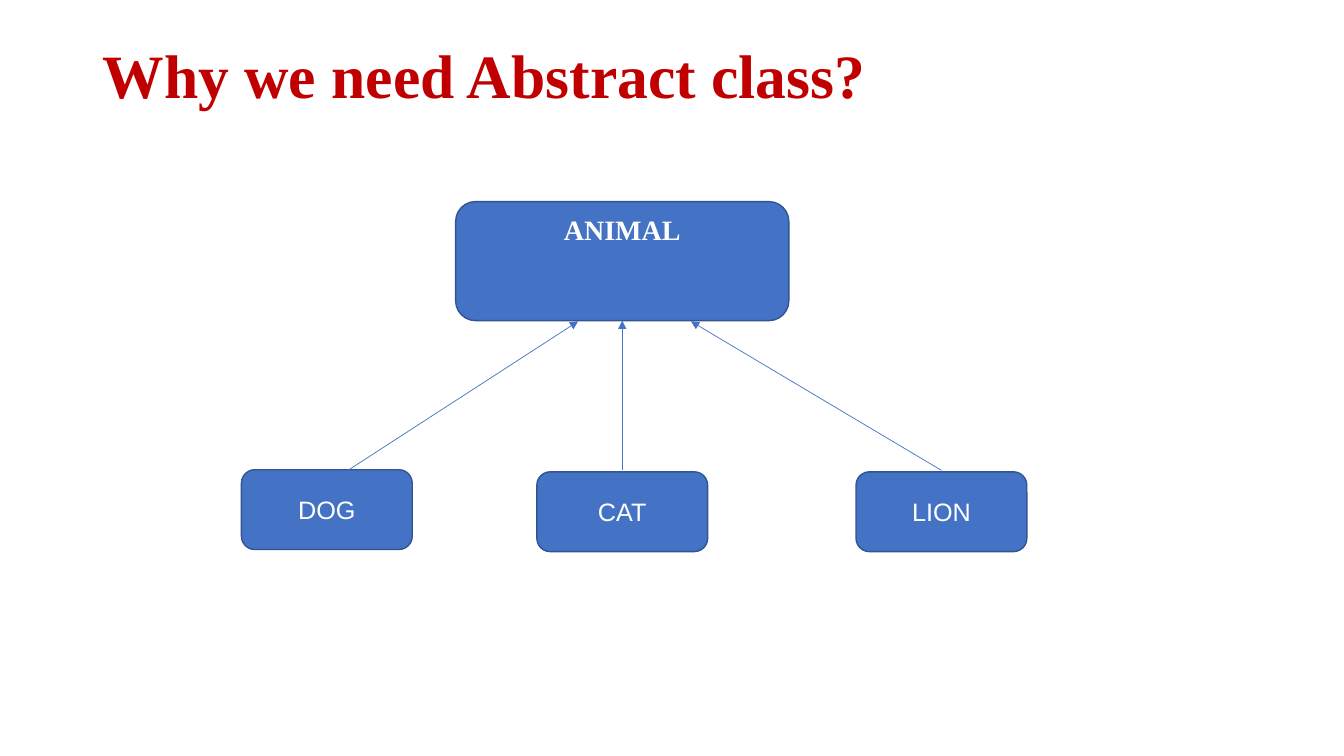
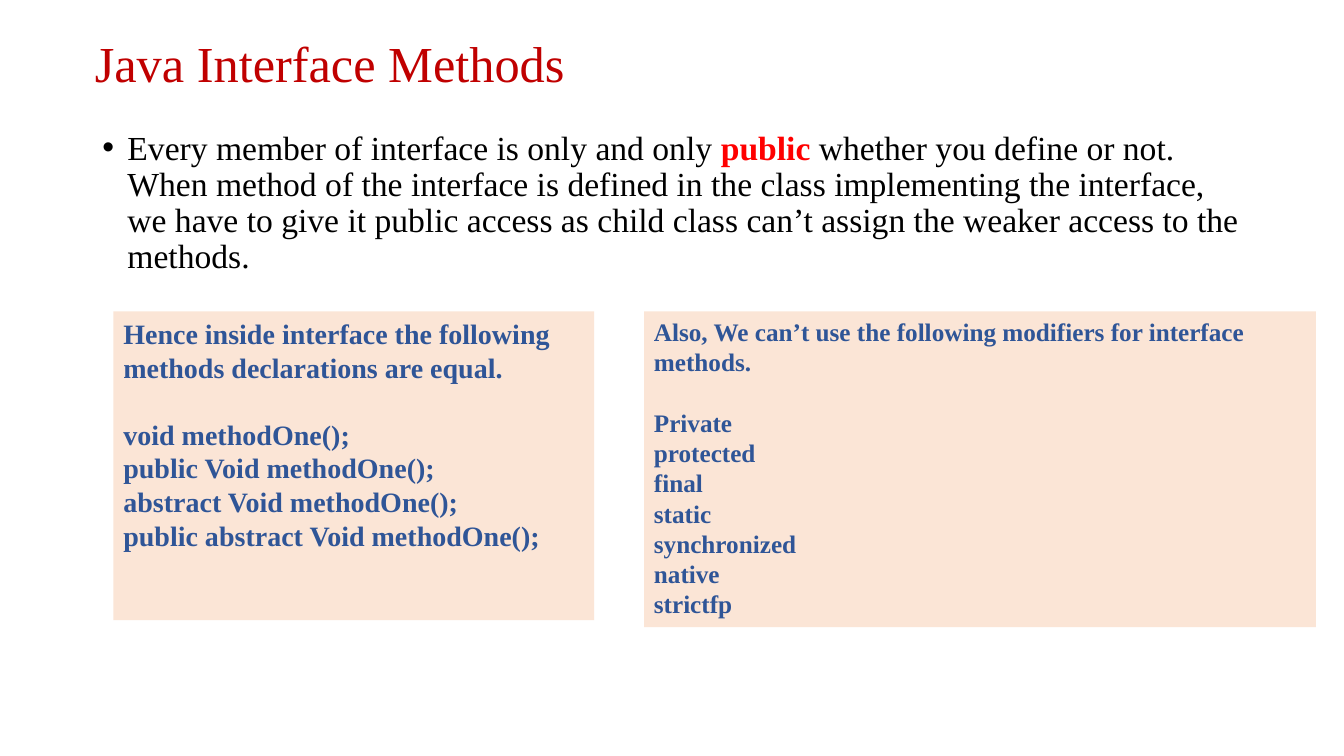
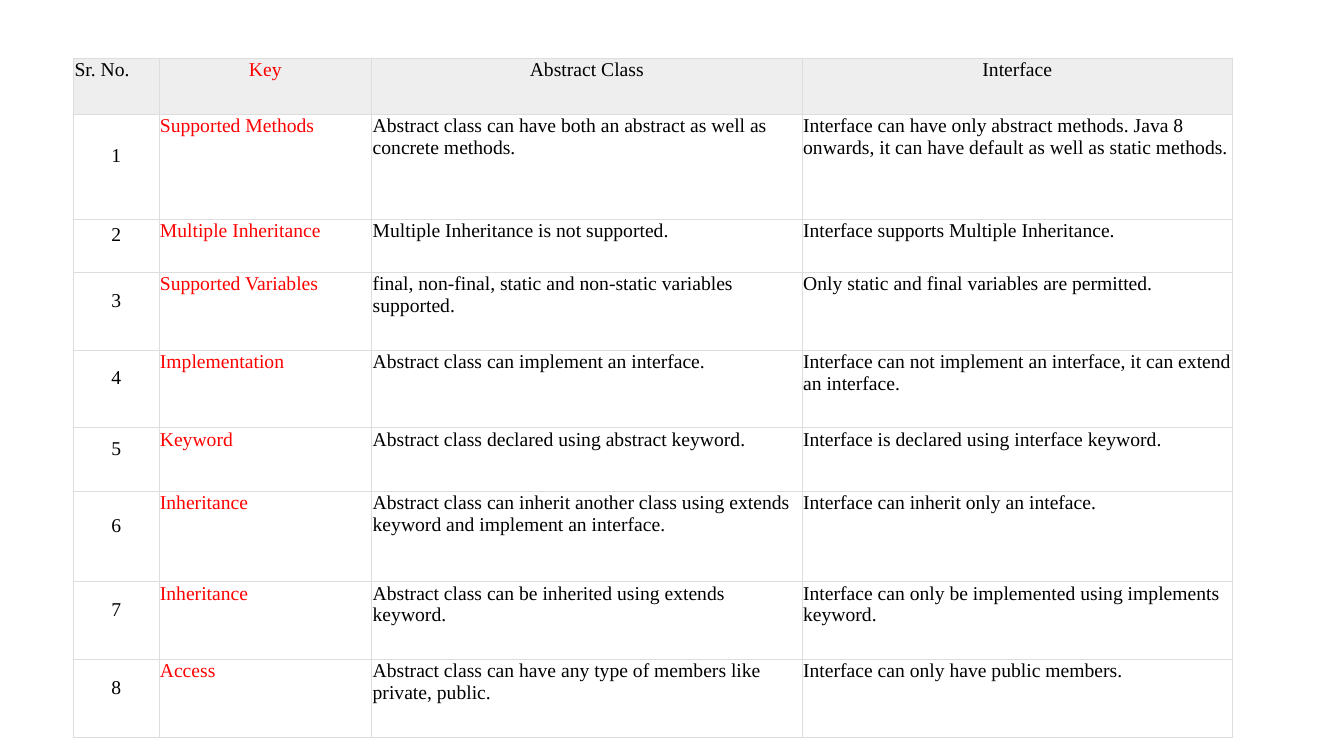
"""Build three slides on abstract classes and interfaces in Java."""
from lxml import etree
from pptx import Presentation
from pptx.dml.color import RGBColor
from pptx.enum.shapes import MSO_CONNECTOR, MSO_SHAPE
from pptx.enum.text import MSO_ANCHOR, MSO_AUTO_SIZE, PP_ALIGN
from pptx.oxml.ns import qn
from pptx.util import Pt

COLORS = {
    "title": "C00000", "text": "000000", "accent": "FF0000", "white": "FFFFFF",
    "node": "4472C4", "outline": "325491", "panel": "FBE5D6",
    "code": "2F5597", "header": "EEEEEE", "grid": "DDDDDD",
}
SERIF = "Times New Roman"


def color(name):
    """Return the named colour."""
    return RGBColor.from_string(COLORS[name])


class SlideWriter:
    """Hold the deck, its style and the current slide."""

    def __init__(self, width, height):
        """Start an empty deck of the given size."""
        self.deck = Presentation()
        self.deck.slide_width, self.deck.slide_height = Pt(width), Pt(height)
        self.page = None

    def add_page(self, titled=True):
        """Start a slide, with or without a title."""
        self.page = self.deck.slides.add_slide(self.deck.slide_layouts[5 if titled else 6])

    def add_run(self, para, text, size, ink="text", bold=False, font=SERIF):
        """Add one formatted run to a paragraph."""
        span = para.add_run()
        span.text = text
        span.font.name, span.font.size, span.font.bold = font, Pt(size), bold
        span.font.color.rgb = color(ink)

    def add_title(self, text, left, top, width, height, size, bold=False, anchor=MSO_ANCHOR.MIDDLE):
        """Place and fill the title placeholder."""
        title = self.page.shapes.title
        title.left, title.top, title.width, title.height = map(Pt, (left, top, width, height))
        frame = title.text_frame
        frame.auto_size, frame.vertical_anchor = MSO_AUTO_SIZE.NONE, anchor
        para = frame.paragraphs[0]
        para.alignment, para.line_spacing = PP_ALIGN.LEFT, 0.9
        self.add_run(para, text, size, "title", bold)

    def add_node(self, text, left, top, width, height, size=18, bold=False, font="Arial",
                 anchor=MSO_ANCHOR.MIDDLE):
        """Add a rounded class box."""
        node = self.page.shapes.add_shape(
            MSO_SHAPE.ROUNDED_RECTANGLE, Pt(left), Pt(top), Pt(width), Pt(height))
        node.shadow.inherit = False
        node.fill.solid()
        node.fill.fore_color.rgb = color("node")
        node.line.color.rgb, node.line.width = color("outline"), Pt(1)
        node.text_frame.vertical_anchor = anchor
        para = node.text_frame.paragraphs[0]
        para.alignment = PP_ALIGN.CENTER
        self.add_run(para, text, size, "white", bold, font)

    def add_arrow(self, start, end):
        """Add a thin arrow between two points."""
        arrow = self.page.shapes.add_connector(MSO_CONNECTOR.STRAIGHT, *map(Pt, start + end))
        arrow.line.color.rgb, arrow.line.width = color("node"), Pt(0.5)
        etree.SubElement(arrow.line._get_or_add_ln(), qn("a:tailEnd"), type="triangle")
        etree.SubElement(arrow._element.spPr, qn("a:effectLst"))

    def add_bullet(self, spans, left, top, width, height, size):
        """Add a bulleted paragraph made of (text, colour, bold) spans."""
        box = self.page.shapes.add_textbox(Pt(left), Pt(top), Pt(width), Pt(height))
        box.text_frame.word_wrap = True
        para = box.text_frame.paragraphs[0]
        para.line_spacing = 0.9
        properties = para._p.get_or_add_pPr()
        properties.set("marL", str(Pt(18)))
        properties.set("indent", str(Pt(-18)))
        etree.SubElement(properties, qn("a:buFont"), typeface="Arial")
        etree.SubElement(properties, qn("a:buChar"), char="•")
        for text, ink, bold in spans:
            self.add_run(para, text, size, ink, bold)

    def add_panel(self, heading, lines, left, top, width, height, size):
        """Add a tinted panel with a heading and a list set one line apart."""
        panel = self.page.shapes.add_textbox(Pt(left), Pt(top), Pt(width), Pt(height))
        panel.fill.solid()
        panel.fill.fore_color.rgb = color("panel")
        frame = panel.text_frame
        frame.word_wrap = True
        for index, text in enumerate([heading] + lines):
            para = frame.add_paragraph() if index else frame.paragraphs[0]
            if index == 1:
                para.space_before = Pt(size * 1.2)
            self.add_run(para, text, size, "code", True)

    def add_grid(self, rows, left, top, widths, heights, size):
        """Add a bordered table with a shaded header and a red key column."""
        table = self.page.shapes.add_table(
            len(rows), len(widths), Pt(left), Pt(top), Pt(sum(widths)), Pt(sum(heights))).table
        table.first_row = table.horz_banding = False
        for column, width in zip(table.columns, widths):
            column.width = Pt(width)
        for row_index, (row, height) in enumerate(zip(rows, heights)):
            table.rows[row_index].height = Pt(height)
            for column_index, text in enumerate(row):
                self.fill_cell(table.cell(row_index, column_index), text, size,
                               row_index == 0, column_index)

    def fill_cell(self, cell, text, size, is_header, column_index):
        """Write and format one table cell."""
        is_number = column_index == 0 and not is_header
        cell.margin_left = cell.margin_right = cell.margin_top = Pt(0.75)
        cell.margin_bottom = Pt(16 if is_number else 0.75)
        cell.vertical_anchor = MSO_ANCHOR.MIDDLE if is_number else MSO_ANCHOR.TOP
        properties = cell._tc.get_or_add_tcPr()
        for side in ("lnL", "lnR", "lnT", "lnB"):
            border = etree.SubElement(properties, qn(f"a:{side}"), w=str(Pt(0.5)))
            fill = etree.SubElement(border, qn("a:solidFill"))
            etree.SubElement(fill, qn("a:srgbClr"), val=COLORS["grid"])
        if is_header:
            cell.fill.solid()
            cell.fill.fore_color.rgb = color("header")
        else:
            cell.fill.background()
        para = cell.text_frame.paragraphs[0]
        centred = is_number or (is_header and column_index > 0)
        para.alignment = PP_ALIGN.CENTER if centred else PP_ALIGN.LEFT
        self.add_run(para, text, size, "accent" if column_index == 1 else "text")


def build_hierarchy(writer):
    """Draw the animal class hierarchy."""
    writer.add_page()
    writer.add_title("Why we need Abstract class?", 66, 29, 828, 104, 44, True, MSO_ANCHOR.TOP)
    writer.add_node("ANIMAL", 325.5, 144, 238, 85, 20, True, SERIF, MSO_ANCHOR.TOP)
    for name, left, top, start, end in (
        ("DOG", 172.5, 335.5, (248.5, 336), (413, 229.5)),
        ("CAT", 383.5, 337, (444.5, 335.5), (444.5, 229)),
        ("LION", 611.5, 337, (672.5, 336), (493.5, 229.5)),
    ):
        writer.add_node(name, left, top, 122, 57)
        writer.add_arrow(start, end)


def build_methods(writer):
    """Explain the access rules of interface methods."""
    writer.add_page()
    writer.add_title("Java Interface Methods", 60.5, 16.5, 828, 61, 36)
    writer.add_bullet([
        ("Every member of interface is only and only ", "text", False),
        ("public", "accent", True),
        (" whether you define or not. When method of the interface is defined in the class "
         "implementing the interface, we have to give it public access as child class can’t "
         "assign the weaker access to the methods.", "text", False),
    ], 66, 90, 828, 120, 24)
    writer.add_panel(
        "Hence inside interface the following methods declarations are equal.",
        ["void methodOne();", "public Void methodOne();", "abstract Void methodOne();",
         "public abstract Void methodOne();"], 81, 222.5, 343.5, 220.5, 20)
    writer.add_panel(
        "Also, We can’t use the following modifiers for interface methods.",
        ["Private", "protected", "final", "static", "synchronized", "native", "strictfp"],
        460, 222.5, 480, 225.5, 18)


def build_comparison(writer):
    """Compare abstract classes with interfaces."""
    header = ("Sr. No.", "Key", "Abstract Class", "Interface")
    entries = [
        ("Supported Methods",
         "Abstract class can have both an abstract as well as concrete methods.",
         "Interface can have only abstract methods. Java 8 onwards, it can have default "
         "as well as static methods."),
        ("Multiple Inheritance", "Multiple Inheritance is not supported.",
         "Interface supports Multiple Inheritance."),
        ("Supported Variables", "final, non-final, static and non-static variables supported.",
         "Only static and final variables are permitted."),
        ("Implementation", "Abstract class can implement an interface.",
         "Interface can not implement an interface, it can extend an interface."),
        ("Keyword", "Abstract class declared using abstract keyword.",
         "Interface is declared using interface keyword."),
        ("Inheritance",
         "Abstract class can inherit another class using extends keyword and implement "
         "an interface.", "Interface can inherit only an inteface."),
        ("Inheritance", "Abstract class can be inherited using extends keyword.",
         "Interface can only be implemented using implements keyword."),
        ("Access", "Abstract class can have any type of members like private, public.",
         "Interface can only have public members."),
    ]
    rows = [header] + [(str(number), *entry) for number, entry in enumerate(entries, 1)]
    writer.add_page(titled=False)
    writer.add_grid(rows, 52.5, 41.5, (61, 152, 307.5, 307.5),
                    (40, 75, 38, 55.5, 55.5, 45.5, 64.5, 55.5, 55.5), 14)


def main():
    """Build and save the deck."""
    writer = SlideWriter(960, 540)
    for build in (build_hierarchy, build_methods, build_comparison):
        build(writer)
    writer.deck.save("out.pptx")


if __name__ == "__main__":
    main()
